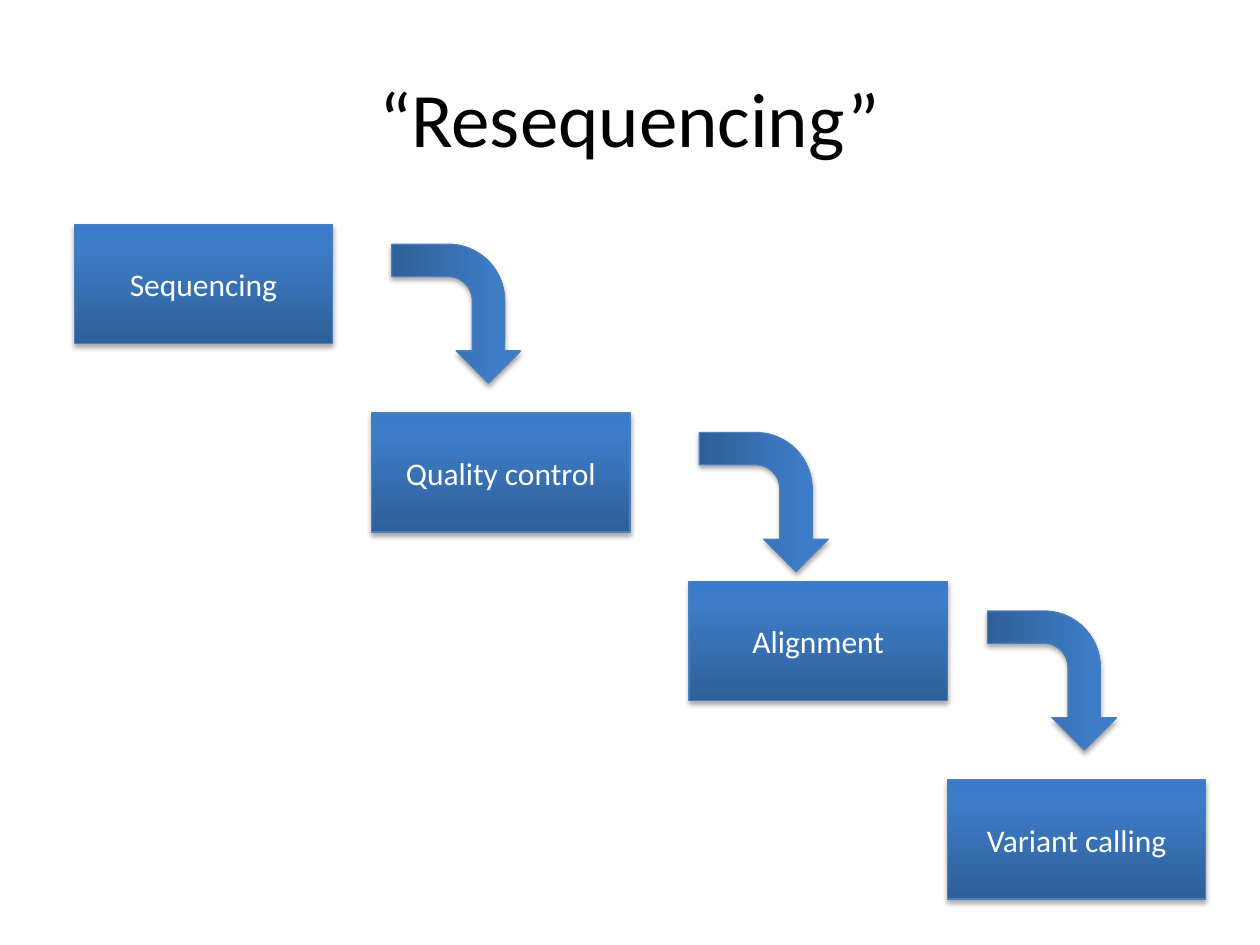
from dataclasses import dataclass

from lxml.etree import SubElement
from pptx import Presentation
from pptx.dml.color import RGBColor
from pptx.enum.shapes import MSO_SHAPE
from pptx.enum.text import MSO_ANCHOR, PP_ALIGN
from pptx.oxml.ns import qn
from pptx.util import Pt


@dataclass(frozen=True)
class Theme:
    font: str = "Calibri"
    title_size: int = 44
    label_size: int = 18
    title_color: str = "000000"
    label_color: str = "FFFFFF"
    line_color: str = "4B7EBC"
    shadow_color: str = "000000"
    gradient: tuple = ((0, "2F5F99"), (80, "3D7CC7"), (100, "3A7CCB"))


class Deck:
    def __init__(self, prs, theme):
        self.theme = theme
        self.slide = prs.slides.add_slide(prs.slide_layouts[6])

    def set_text(self, sp, text, size, color):
        tf = sp.text_frame
        tf.word_wrap = True
        tf.vertical_anchor = MSO_ANCHOR.MIDDLE
        tf.text = text
        p = tf.paragraphs[0]
        p.alignment = PP_ALIGN.CENTER
        font = p.runs[0].font
        font.name = self.theme.font
        font.size = Pt(size)
        font.color.rgb = RGBColor.from_string(color)

    def paint(self, sp):
        sp.fill.gradient()
        sp.fill.gradient_angle = 90
        stops = sp._element.spPr.find(qn("a:gradFill")).find(qn("a:gsLst"))
        for old in list(stops):
            stops.remove(old)
        for pos, color in self.theme.gradient:
            gs = SubElement(stops, qn("a:gs"), pos=str(pos * 1000))
            SubElement(gs, qn("a:srgbClr"), val=color)
        sp.line.color.rgb = RGBColor.from_string(self.theme.line_color)
        sp.line.width = Pt(0.75)
        self.cast_shadow(sp)

    def cast_shadow(self, sp):
        sp.shadow.inherit = False
        effects = sp._element.spPr.find(qn("a:effectLst"))
        shadow = SubElement(effects, qn("a:outerShdw"), blurRad=str(Pt(3.1)),
                            dist=str(Pt(1.8)), dir="5400000", rotWithShape="0")
        color = SubElement(shadow, qn("a:srgbClr"), val=self.theme.shadow_color)
        SubElement(color, qn("a:alpha"), val="35000")

    def shape(self, kind, x, y, w, h):
        sp = self.slide.shapes.add_shape(kind, Pt(x), Pt(y), Pt(w), Pt(h))
        self.paint(sp)
        return sp

    def title(self, text, x, y, w, h):
        sp = self.slide.shapes.add_textbox(Pt(x), Pt(y), Pt(w), Pt(h))
        self.set_text(sp, text, self.theme.title_size, self.theme.title_color)

    def step(self, text, x, y):
        sp = self.shape(MSO_SHAPE.RECTANGLE, x, y, 147.6, 68)
        self.set_text(sp, text, self.theme.label_size, self.theme.label_color)

    def arrow(self, x, y):
        sp = self.shape(MSO_SHAPE.BENT_ARROW, x, y, 79.4, 73.7)
        sp.rotation = 90


def main():
    prs = Presentation()
    prs.slide_width, prs.slide_height = Pt(720), Pt(540)
    deck = Deck(prs, Theme())
    deck.title("“Resequencing”", 36, 21.6, 648, 90)
    steps = (
        ("Sequencing", 42.5, 128.2),
        ("Quality control", 212.4, 236),
        ("Alignment", 393.8, 332.4),
        ("Variant calling", 541.4, 445.7),
    )
    for text, x, y in steps:
        deck.step(text, x, y)
    for x, y in ((221, 142.4), (396.7, 250), (561.4, 352)):
        deck.arrow(x, y)
    prs.save("out.pptx")


if __name__ == "__main__":
    main()
